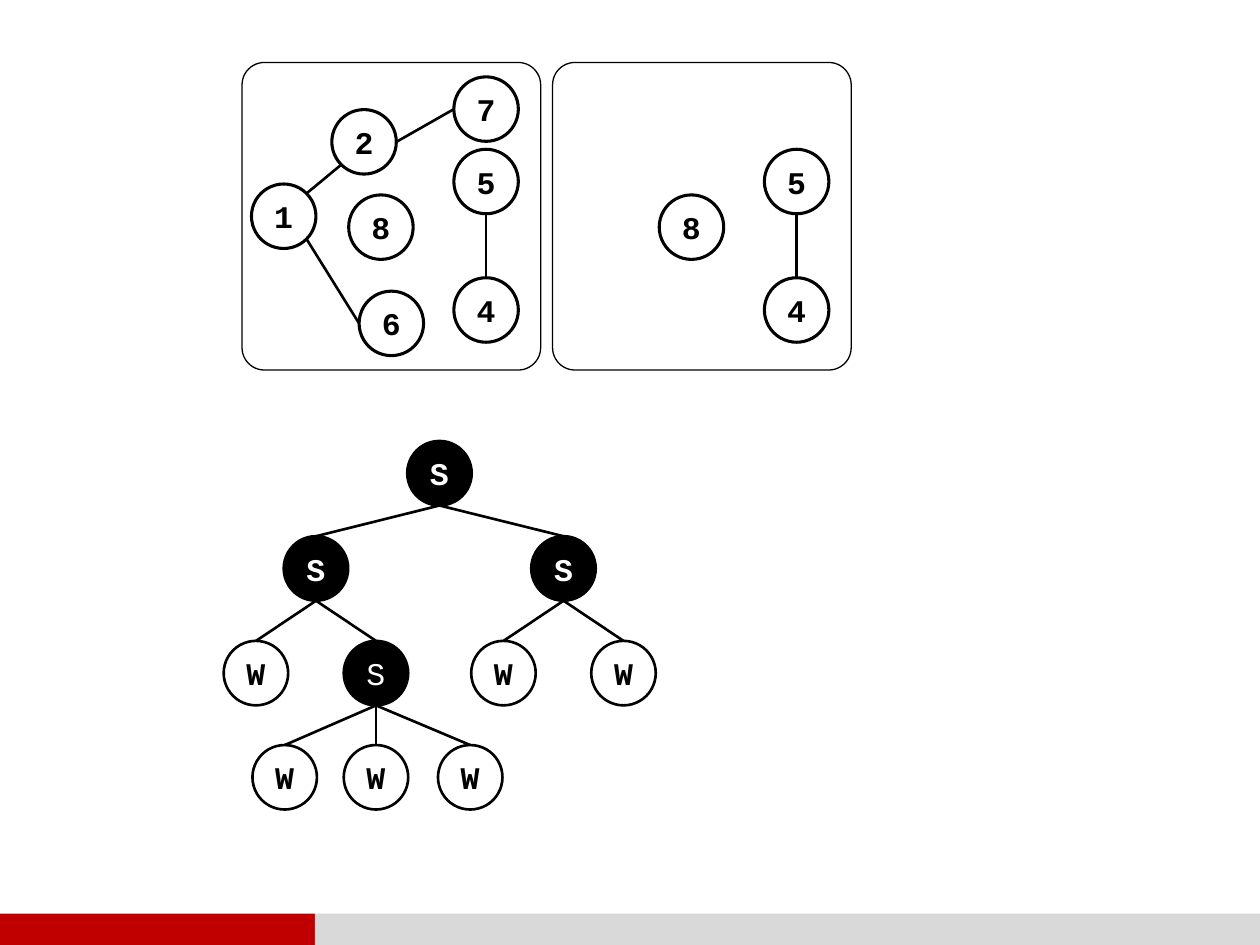
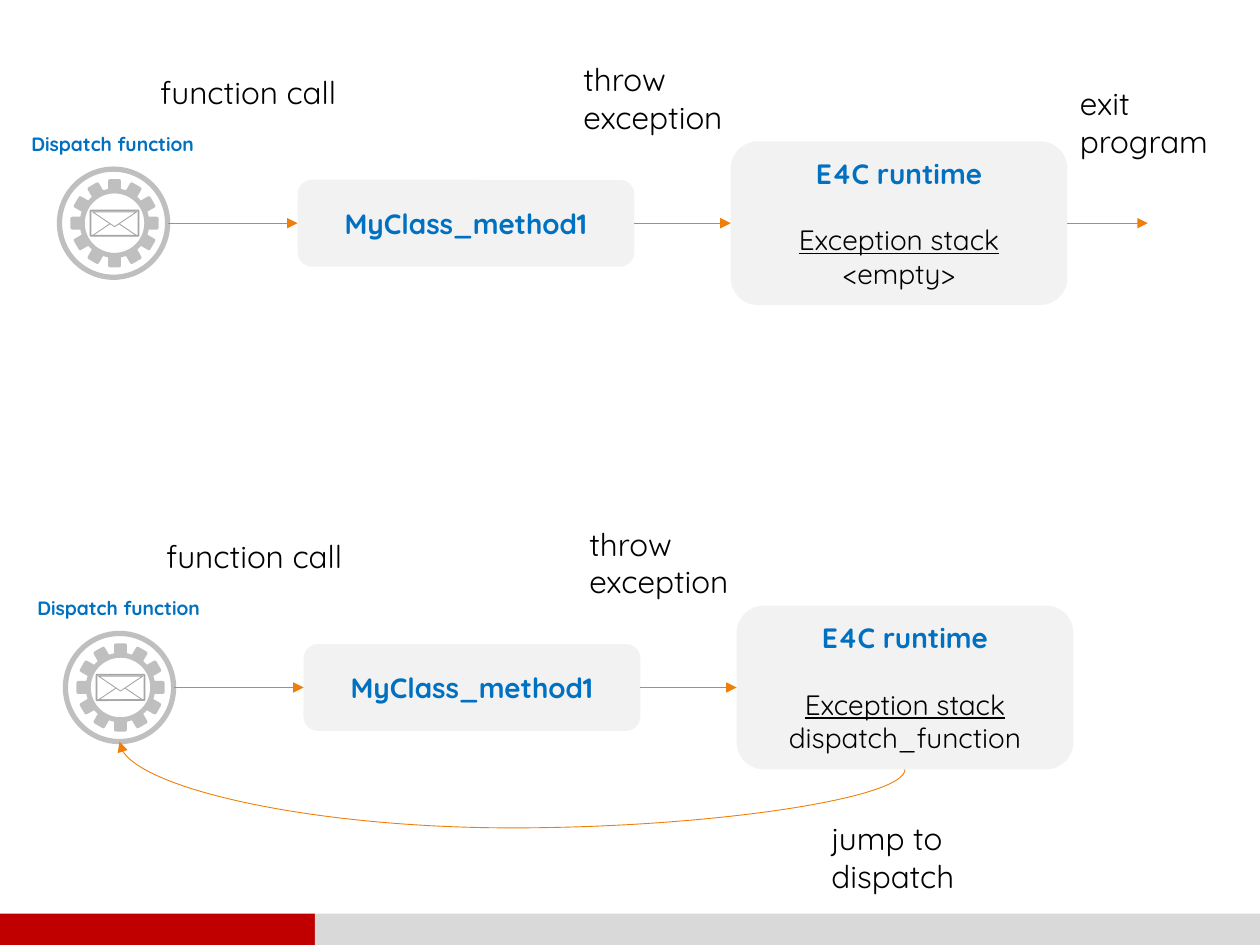
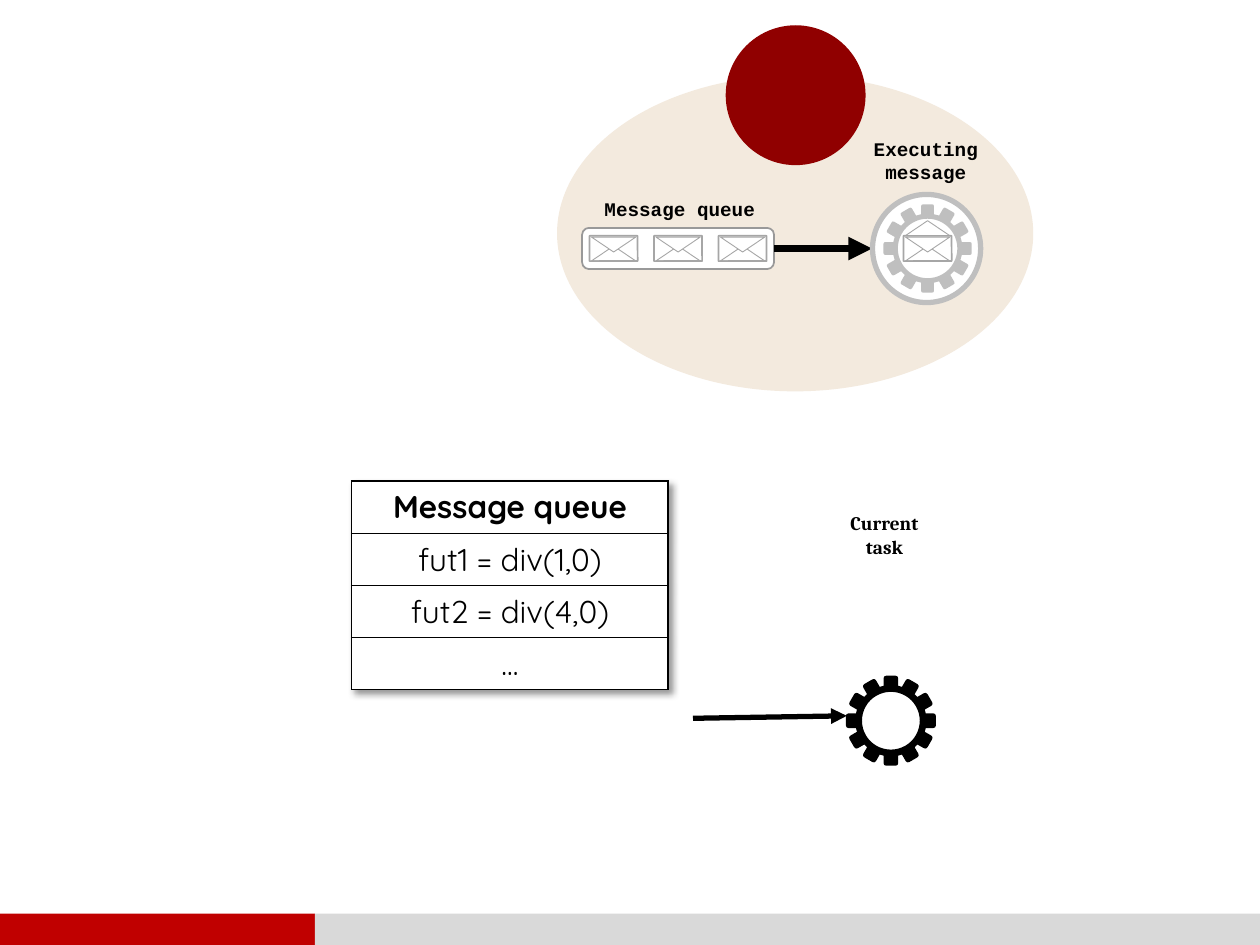
from math import cos, pi, sin

from lxml import etree
from pptx import Presentation
from pptx.dml.color import RGBColor
from pptx.enum.shapes import MSO_CONNECTOR, MSO_SHAPE
from pptx.enum.text import MSO_ANCHOR, PP_ALIGN
from pptx.oxml.ns import qn
from pptx.util import Cm, Pt

OVAL, RECT = MSO_SHAPE.OVAL, MSO_SHAPE.RECTANGLE
ROUND, TRIANGLE = MSO_SHAPE.ROUNDED_RECTANGLE, MSO_SHAPE.ISOSCELES_TRIANGLE
NODE = MSO_SHAPE.FLOWCHART_CONNECTOR
STRAIGHT, CURVE = MSO_CONNECTOR.STRAIGHT, MSO_CONNECTOR.CURVE
LEFT, CENTER = PP_ALIGN.LEFT, PP_ALIGN.CENTER
TOP, MIDDLE = MSO_ANCHOR.TOP, MSO_ANCHOR.MIDDLE

BLACK = RGBColor(0x00, 0x00, 0x00)
WHITE = RGBColor(0xFF, 0xFF, 0xFF)
RED = RGBColor(0xC0, 0x00, 0x00)
DARK_RED = RGBColor(0x90, 0x00, 0x00)
BAND_GREY = RGBColor(0xD9, 0xD9, 0xD9)
BOX_GREY = RGBColor(0xF2, 0xF2, 0xF2)
GEAR_GREY = RGBColor(0xBF, 0xBF, 0xBF)
MAIL_GREY = RGBColor(0xA6, 0xA6, 0xA6)
QUEUE_GREY = RGBColor(0x99, 0x99, 0x99)
BLUE = RGBColor(0x00, 0x70, 0xC0)
ORANGE = RGBColor(0xF0, 0x7F, 0x09)
BEIGE = RGBColor(0xF3, 0xEA, 0xDE)

# Text formats
SANS, MONO, SERIF = "Quicksand", "Courier New", "Cambria"


def fmt(name, size, color=BLACK, bold=False, underline=False):
    return {"name": name, "size": Pt(size), "bold": bold, "underline": underline, "color": color}


LABEL = fmt(SANS, 18)
HEAD = fmt(SANS, 18, bold=True)
BOX_TITLE = fmt(SANS, 16, BLUE, bold=True)
BOX_BODY = fmt(SANS, 16)
BOX_UNDER = fmt(SANS, 16, underline=True)
DISPATCH = fmt(SANS, 11, BLUE, bold=True)
CAPTION = fmt(MONO, 11, bold=True)
TASK = fmt(SERIF, 11, bold=True)
NODE_TEXT = fmt(MONO, 18, bold=True)

# Slide 1: graph nodes by centre, edges with the direction of each end (cm)
NODE_D = 1.3
GRAPH = {"2": (7.34, 2.86), "8": (7.68, 4.58), "6": (7.89, 6.52), "4": (9.8, 6.25),
         "1": (5.72, 4.36), "5": (9.8, 3.66), "7": (9.8, 2.2)}
D = 0.71
SIDES = {"n": (0, -1), "s": (0, 1), "e": (1, 0), "w": (-1, 0),
         "ne": (D, -D), "se": (D, D), "sw": (-D, D)}
EDGES = [("1", "ne", "2", "sw"), ("1", "se", "6", "w"), ("5", "s", "4", "n"), ("2", "e", "7", "w")]
PANELS = ["2864157", "854"]
PANEL, PANEL_STEP = (4.88, 1.26, 6.02, 6.2), 6.26

# Tree: label, centre x, level, index of parent, bold
LEVELS = [9.54, 11.46, 13.57, 15.67]
TREE = [("S", 8.86, 0, None, True),
        ("S", 6.37, 1, 0, True), ("S", 11.36, 1, 0, True),
        ("W", 5.16, 2, 1, True), ("S", 7.58, 2, 1, False),
        ("W", 10.15, 2, 2, True), ("W", 12.57, 2, 2, True),
        ("W", 5.74, 3, 4, True), ("W", 7.58, 3, 4, True), ("W", 9.48, 3, 4, True)]

# Slide 2: offset of each flow and the content of its exception stack
FLOWS = [(0, 0, "<empty>"), (0.12, 9.36, "dispatch_function")]
FLOW_LABELS = [("function call", (2.77, 1.35, 4.47, 1.02), CENTER),
               ("throw\nexception", (11.51, 1.09, 3.66, 1.8), LEFT)]
FLOW_Y, GEAR_X, DISC_D = 4.5, 2.29, 2.18
METHOD_X, RUNTIME_X, BOX_W = 6.0, 14.73, 6.79
METHOD_H, RUNTIME_H = 1.75, 3.3
LOOP_DROP = 1.18

# Slide 3
QUEUE_ROWS = ["Message queue", "fut1 = div(1,0)", "fut2 = div(4,0)", "..."]
QUEUE_Y, MAIL_X, MAIL_STEP = 5.01, 12.37, 1.3
CAPTIONS = [("Message queue", (11.43, 3.86, 4.55, 0.73), CAPTION),
            ("Executing\nmessage", (17.04, 2.64, 3.25, 1.2), CAPTION),
            ("Current task", (16.71, 10.19, 2.24, 1.19), TASK)]

# Gear outline: one tooth as (radial, tangential) points
TEETH, HOLE_R, HOLE_STEPS = 12, 0.6, 48
TOOTH = [(0.69, -0.13), (0.85, -0.13), (0.88, -0.12), (0.89, -0.09),
         (0.89, 0.09), (0.88, 0.12), (0.85, 0.13), (0.69, 0.13)]


def paint(sp, fill=None, line=None, width=1):
    sp.shadow.inherit = False
    if fill is None:
        sp.fill.background()
    else:
        sp.fill.solid()
        sp.fill.fore_color.rgb = fill
    if line is None:
        sp.line.fill.background()
    else:
        sp.line.color.rgb = line
        sp.line.width = Pt(width)
    return sp


def add_box(shapes, kind, x, y, w, h, fill=None, line=None, width=1):
    return paint(shapes.add_shape(kind, Cm(x), Cm(y), Cm(w), Cm(h)), fill, line, width)


def add_centred(shapes, kind, cx, cy, w, h, *colours):
    return add_box(shapes, kind, cx - w / 2, cy - h / 2, w, h, *colours)


def write(tf, lines, align=CENTER, anchor=TOP):
    """Fill a text frame with one paragraph per (text, format) pair."""
    tf.word_wrap = True
    tf.vertical_anchor = anchor
    for i, (text, style) in enumerate(lines):
        p = tf.add_paragraph() if i else tf.paragraphs[0]
        p.text = text
        p.alignment = align
        for r in p.runs:
            format_run(r, style)


def format_run(r, style):
    for key, value in style.items():
        if key == "color":
            r.font.color.rgb = value
        else:
            setattr(r.font, key, value)


def add_text(s, text, place, style, align=CENTER):
    tf = s.shapes.add_textbox(*map(Cm, place)).text_frame
    write(tf, [(line, style) for line in text.split("\n")], align)


def add_line(s, start, end, color=BLACK, width=1.5, kind=STRAIGHT, arrow=False):
    c = s.shapes.add_connector(kind, *map(Cm, (*start, *end)))
    c.line.color.rgb = color
    c.line.width = Pt(width)
    if arrow:
        etree.SubElement(c.line._get_or_add_ln(), qn("a:tailEnd"), type="triangle")
    etree.SubElement(c._element.spPr, qn("a:effectLst"))
    return c


def add_node(s, label, cx, cy, style, *colours):
    sp = add_centred(s.shapes, NODE, cx, cy, NODE_D, NODE_D, *colours)
    write(sp.text_frame, [(label, style)], anchor=MIDDLE)
    sp.text_frame.word_wrap = False
    for side in ("left", "right", "top", "bottom"):
        setattr(sp.text_frame, "margin_" + side, 0)


def add_gear(shapes, cx, cy, fill, line=None):
    def at(radial, tangential, angle):
        return (Cm(cx + radial * cos(angle) - tangential * sin(angle)),
                Cm(cy + radial * sin(angle) + tangential * cos(angle)))

    rim = [at(u, v, 2 * pi * k / TEETH) for k in range(TEETH) for u, v in TOOTH]
    hole = [at(HOLE_R, 0, 2 * pi * k / HOLE_STEPS) for k in range(HOLE_STEPS)]
    builder = shapes.build_freeform(*rim[0], scale=1.0)
    builder.add_line_segments(rim[1:], close=True)
    builder.move_to(*hole[0])
    builder.add_line_segments(hole[1:], close=True)
    paint(builder.convert_to_shape(), fill, line)


def add_mail(shapes, cx, cy):
    sp = add_centred(shapes, ROUND, cx, cy, 0.97, 0.51, WHITE, MAIL_GREY)
    sp.adjustments[0] = 0.02
    add_centred(shapes, TRIANGLE, cx, cy + 0.1, 0.89, 0.3, None, MAIL_GREY, 0.5)
    flap = add_centred(shapes, TRIANGLE, cx, cy - 0.08, 0.89, 0.3, WHITE, MAIL_GREY, 0.5)
    flap.rotation = 180


def add_worker(s, cx, cy):
    """A disc with a gear and the message being handled."""
    shapes = s.shapes.add_group_shape().shapes
    add_centred(shapes, OVAL, cx, cy, DISC_D, DISC_D, WHITE, GEAR_GREY, 3)
    add_gear(shapes, cx + 0.02, cy, GEAR_GREY)
    add_mail(shapes, cx + 0.02, cy)


def new_slide(prs):
    s = prs.slides.add_slide(prs.slide_layouts[6])
    add_box(s.shapes, RECT, 0, 18.42, 6.35, 0.63, RED)
    add_box(s.shapes, RECT, 6.35, 18.42, 19.05, 0.63, BAND_GREY)
    return s


def graph_slide(prs):
    s = new_slide(prs)
    x, y, w, h = PANEL
    for i, labels in enumerate(PANELS):
        shift = i * PANEL_STEP

        def rim(label, side):
            (cx, cy), (dx, dy) = GRAPH[label], SIDES[side]
            return cx + shift + dx * NODE_D / 2, cy + dy * NODE_D / 2

        for label in labels:
            cx, cy = GRAPH[label]
            add_node(s, label, cx + shift, cy, NODE_TEXT, None, BLACK, 1.75)
        for a, a_side, b, b_side in EDGES:
            if a in labels and b in labels:
                add_line(s, rim(a, a_side), rim(b, b_side))
        sp = add_box(s.shapes, ROUND, x + shift, y, w, h, None, BLACK, 0.75)
        sp.adjustments[0] = 0.075

    # Tree: edges below the nodes
    for _, cx, level, parent, _ in TREE:
        if parent is not None:
            _, px, p_level, _, _ = TREE[parent]
            add_line(s, (px, LEVELS[p_level] + NODE_D / 2), (cx, LEVELS[level] - NODE_D / 2))
    for label, cx, level, _, bold in TREE:
        fill, color = (BLACK, WHITE) if label == "S" else (WHITE, BLACK)
        add_node(s, label, cx, LEVELS[level], fmt(MONO, 18, color, bold), fill, BLACK, 1.5)


def add_loop(s, start, end):
    """Curved arrow that dips below both ends, running right to left."""
    (x1, y1), (x2, y2) = start, end
    w, h = y1 - y2, x1 - x2
    c = add_line(s, start, end, ORANGE, 0.5, CURVE, True)
    c.left, c.top = Cm((x1 + x2 - w) / 2), Cm((y1 + y2 - h) / 2)
    c.width, c.height = Cm(w), Cm(h)
    xfrm = c._element.spPr.find(qn("a:xfrm"))
    for key in ("flipH", "flipV"):
        xfrm.attrib.pop(key, None)
    xfrm.set("rot", "5400000")
    xfrm.set("flipH", "1")
    geom = c._element.spPr.find(qn("a:prstGeom"))
    guides = geom.find(qn("a:avLst"))
    if guides is None:
        guides = etree.SubElement(geom, qn("a:avLst"))
    ratio = round(-LOOP_DROP / w * 100000)
    etree.SubElement(guides, qn("a:gd"), name="adj1", fmla=f"val {ratio}")


def flow_slide(prs):
    s = new_slide(prs)
    for dx, dy, stack in FLOWS:
        y, gear_x = FLOW_Y + dy, GEAR_X + dx
        for text, (left, top, w, h), align in FLOW_LABELS:
            add_text(s, text, (left + dx, top + dy, w, h), LABEL, align)
        add_text(s, "Dispatch function", (dx, 2.54 + dy, 4.55, 0.73), DISPATCH)
        add_worker(s, gear_x, y)

        method = add_box(s.shapes, ROUND, METHOD_X + dx, y - METHOD_H / 2, BOX_W, METHOD_H, BOX_GREY)
        write(method.text_frame, [("MyClass_method1", BOX_TITLE)], anchor=MIDDLE)
        runtime = add_box(s.shapes, ROUND, RUNTIME_X + dx, y - RUNTIME_H / 2, BOX_W, RUNTIME_H, BOX_GREY)
        write(runtime.text_frame, [("E4C runtime", BOX_TITLE), ("Exception stack", BOX_UNDER),
                                   (stack, BOX_BODY)], anchor=MIDDLE)
        runtime.text_frame.paragraphs[1].space_before = Pt(19)

        call = add_line(s, (gear_x + DISC_D / 2, y), (METHOD_X + dx, y), ORANGE, 0.5, CURVE, True)
        call.end_connect(method, 1)
        throw = add_line(s, (METHOD_X + BOX_W + dx, y), (RUNTIME_X + dx, y), ORANGE, 0.5, CURVE, True)
        throw.begin_connect(method, 3)
        throw.end_connect(runtime, 1)

    # The first flow leaves the program, the second returns to the dispatcher
    out_x = RUNTIME_X + BOX_W
    add_line(s, (out_x, FLOW_Y), (23.14, FLOW_Y), ORANGE, 0.5, CURVE, True)
    add_text(s, "exit\nprogram", (out_x, 1.57, 3.23, 1.8), LABEL, LEFT)
    add_loop(s, (RUNTIME_X + BOX_W / 2 + dx, y + RUNTIME_H / 2), (gear_x, y + DISC_D / 2))
    add_text(s, "jump to\ndispatch", (16.51, 16.38, 3.23, 1.8), LABEL, LEFT)


def add_queue_table(s):
    tb = s.shapes.add_table(len(QUEUE_ROWS), 1, Cm(7.09), Cm(9.7), Cm(6.38), Cm(4.2)).table
    tb.first_row = tb.horz_banding = False
    effects = etree.Element(qn("a:effectLst"))
    shadow = etree.SubElement(effects, qn("a:outerShdw"), blurRad="50800", dist="38100",
                              dir="2700000", algn="tl", rotWithShape="0")
    color = etree.SubElement(shadow, qn("a:prstClr"), val="black")
    etree.SubElement(color, qn("a:alpha"), val="40000")
    tb._tbl.tblPr.insert(0, effects)
    for i, text in enumerate(QUEUE_ROWS):
        cell = tb.cell(i, 0)
        p = cell.text_frame.paragraphs[0]
        p.text, p.alignment = text, CENTER
        format_run(p.runs[0], LABEL if i else HEAD)
        tc_pr = cell._tc.get_or_add_tcPr()
        for side in ("lnL", "lnR", "lnT", "lnB"):
            ln = etree.SubElement(tc_pr, qn("a:" + side), w=str(Pt(1)))
            fill = etree.SubElement(ln, qn("a:solidFill"))
            etree.SubElement(fill, qn("a:srgbClr"), val=str(BLACK))
        cell.fill.solid()
        cell.fill.fore_color.rgb = WHITE


def queue_slide(prs):
    s = new_slide(prs)
    # Actor with its message queue
    add_box(s.shapes, OVAL, 11.23, 1.52, 9.6, 6.37, BEIGE)
    add_box(s.shapes, OVAL, 14.63, 0.51, 2.82, 2.82, DARK_RED)
    queue = add_centred(s.shapes, ROUND, 13.67, QUEUE_Y, 3.87, 0.83, WHITE, QUEUE_GREY)
    take = add_line(s, (15.6, QUEUE_Y), (17.58, QUEUE_Y), BLACK, 4.5, arrow=True)
    take.begin_connect(queue, 3)
    for i in range(3):
        add_mail(s.shapes.add_group_shape().shapes, MAIL_X + i * MAIL_STEP, QUEUE_Y)
    add_worker(s, 18.68, QUEUE_Y)
    add_centred(s.shapes, TRIANGLE, 18.7, QUEUE_Y - 0.41, 0.89, 0.3, WHITE, MAIL_GREY, 0.5)

    # Queue contents and the current task
    add_queue_table(s)
    add_gear(s.shapes, 17.96, 14.53, BLACK, BLACK)
    add_line(s, (13.97, 14.48), (17.07, 14.43), BLACK, 3, arrow=True)
    for text, place, style in CAPTIONS:
        add_text(s, text, place, style)


def main():
    prs = Presentation()
    prs.slide_width, prs.slide_height = Cm(25.4), Cm(19.05)
    graph_slide(prs)
    flow_slide(prs)
    queue_slide(prs)
    prs.save("out.pptx")


if __name__ == "__main__":
    main()
